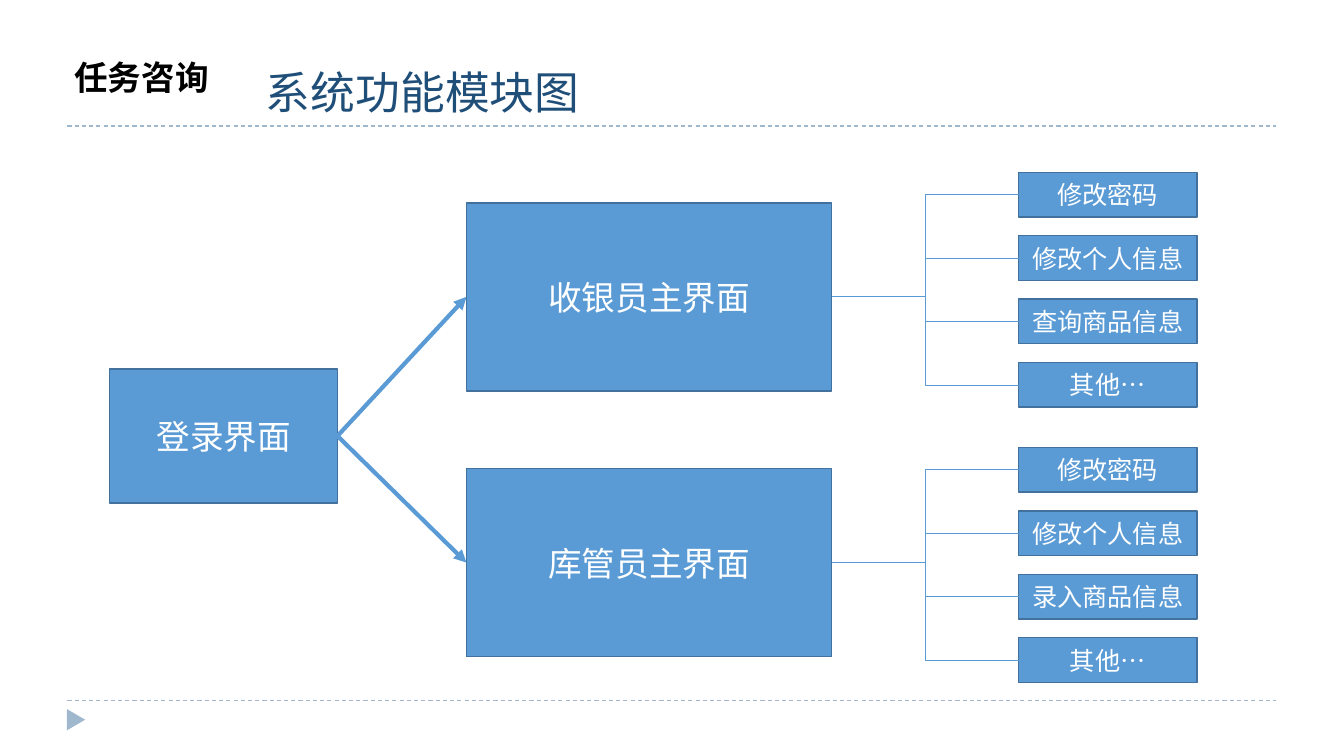
import collections

import lxml.etree
import pptx
import pptx.dml.color
import pptx.enum.dml
import pptx.enum.shapes
import pptx.enum.text
import pptx.oxml.ns
import pptx.util

RGBColor = pptx.dml.color.RGBColor
BLUE = RGBColor(0x5B, 0x9B, 0xD5)
EDGE = RGBColor(0x41, 0x71, 0x9C)
RULE = RGBColor(0x9F, 0xB8, 0xCD)
NAVY = RGBColor(0x1F, 0x4E, 0x79)
BLACK = RGBColor(0, 0, 0)
WHITE = RGBColor(0xFF, 0xFF, 0xFF)
HEAD_FONT = "Noto Sans CJK SC"
LABEL_FONT = "Noto Sans CJK JP"
BODY_FONT = "Calibri"
SHAPE = pptx.enum.shapes.MSO_SHAPE
CONNECTOR = pptx.enum.shapes.MSO_CONNECTOR
ALIGN = pptx.enum.text.PP_ALIGN
ANCHOR = pptx.enum.text.MSO_ANCHOR
LEFT_SIDE, RIGHT_SIDE = 1, 3

# All lengths are inches
Box = collections.namedtuple("Box", "left top width height")
PAGE = Box(0, 0, 13.34, 7.5)
HEADER = Box(0.67, 0.59, 12, 0.66)
FOOTER = Box(0.67, 6.95, 12, 0.3)
LOGIN = Box(1.09, 3.66, 2.26, 1.33)

# Branch box, top of the main screen as a share of it, screen name, functions
BRANCHES = [
    (Box(4.63, 1.71, 7.25, 2.33), 0.13, "收银员主界面",
     ["修改密码", "修改个人信息", "查询商品信息", "其他…"]),
    (Box(4.63, 4.44, 7.25, 2.33), 0.09, "库管员主界面",
     ["修改密码", "修改个人信息", "录入商品信息", "其他…"]),
]


def inches(values):
    return [pptx.util.Inches(value) for value in values]


def part(box, left, top, width, height):
    """Box given as shares of another box."""
    return Box(box.left + left * box.width, box.top + top * box.height,
               width * box.width, height * box.height)


def write(shape, text, size, font, color, align, anchor, bold=False):
    frame = shape.text_frame
    frame.text = text
    frame.word_wrap = True
    frame.auto_size = pptx.enum.text.MSO_AUTO_SIZE.NONE
    frame.vertical_anchor = anchor
    para = frame.paragraphs[0]
    para.alignment = align
    span = para.runs[0]
    span.font.size = pptx.util.Pt(size)
    span.font.name = font
    span.font.bold = bold
    span.font.color.rgb = color
    east_asian = lxml.etree.SubElement(
        span.font._element, pptx.oxml.ns.qn("a:ea"))
    east_asian.set("typeface", HEAD_FONT if font == BODY_FONT else font)
    return para


def add_block(page, kind, box, text, size):
    block = page.shapes.add_shape(kind, *inches(box))
    block.shadow.inherit = False
    block.fill.solid()
    block.fill.fore_color.rgb = BLUE
    block.line.color.rgb = EDGE
    block.line.width = pptx.util.Pt(1)
    write(block, text, size, BODY_FONT, WHITE, ALIGN.CENTER, ANCHOR.MIDDLE)
    return block


def add_line(page, kind, ends, color, width):
    line = page.shapes.add_connector(kind, *inches(ends))
    line.line.color.rgb = color
    line.line.width = pptx.util.Pt(width)
    lxml.etree.SubElement(line._element.spPr, pptx.oxml.ns.qn("a:effectLst"))
    return line


def join(page, kind, source, target, width):
    line = add_line(page, kind, (0, 0, 0, 0), BLUE, width)
    line.begin_connect(source, RIGHT_SIDE)
    line.end_connect(target, LEFT_SIDE)
    return line


def add_rule(page, box, height):
    rule = add_line(page, CONNECTOR.STRAIGHT,
                    (box.left, height, box.left + box.width, height), RULE, 0.75)
    rule.line.dash_style = pptx.enum.dml.MSO_LINE.DASH


def add_header(page, box):
    add_rule(page, box, box.top + box.height)

    # Title beside the section label
    title = page.shapes.title
    title.left, title.top, title.width, title.height = inches(
        (box.left + 1.87, box.top, 9.33, 0.64))
    write(title, "系统功能模块图", 32, HEAD_FONT, NAVY, ALIGN.LEFT, ANCHOR.TOP)

    label = page.shapes.add_textbox(*inches((box.left - 0.03, box.top, 1.74, 0.46)))
    para = write(label, "任务咨询", 24, LABEL_FONT, BLACK, ALIGN.LEFT, ANCHOR.TOP, True)
    para.line_spacing = 0.8
    para.space_before = pptx.util.Pt(6)


def add_footer(page, box):
    add_rule(page, box, box.top)
    marker = page.shapes.add_shape(
        SHAPE.ISOSCELES_TRIANGLE, *inches((box.left - 0.02, box.top + 0.1, 0.21, 0.18)))
    marker.rotation = 90
    marker.shadow.inherit = False
    marker.fill.solid()
    marker.fill.fore_color.rgb = RULE
    marker.line.fill.background()


def add_branch(page, box, screen_top, name, functions, login):
    # Main screen, reached by an arrow from the login screen
    screen = add_block(page, SHAPE.FLOWCHART_PROCESS,
                       part(box, 0, screen_top, 0.5, 0.8), name, 24)
    arrow = join(page, CONNECTOR.STRAIGHT, login, screen, 3)
    tip = lxml.etree.SubElement(arrow.line._get_or_add_ln(), pptx.oxml.ns.qn("a:tailEnd"))
    tip.set("type", "triangle")

    # Column of functions
    for row, function in enumerate(functions):
        leaf = add_block(page, SHAPE.RECTANGLE,
                         part(box, 0.756, 0.27 * row, 0.244, 0.19), function, 18)
        join(page, CONNECTOR.ELBOW, screen, leaf, 0.5)


def main():
    deck = pptx.Presentation()
    deck.slide_width, deck.slide_height = inches((PAGE.width, PAGE.height))
    page = deck.slides.add_slide(deck.slide_layouts.get_by_name("Title Only"))
    add_header(page, HEADER)
    add_footer(page, FOOTER)
    login = add_block(page, SHAPE.FLOWCHART_PROCESS, LOGIN, "登录界面", 24)
    for branch in BRANCHES:
        add_branch(page, *branch, login)
    deck.save("out.pptx")


if __name__ == "__main__":
    main()
